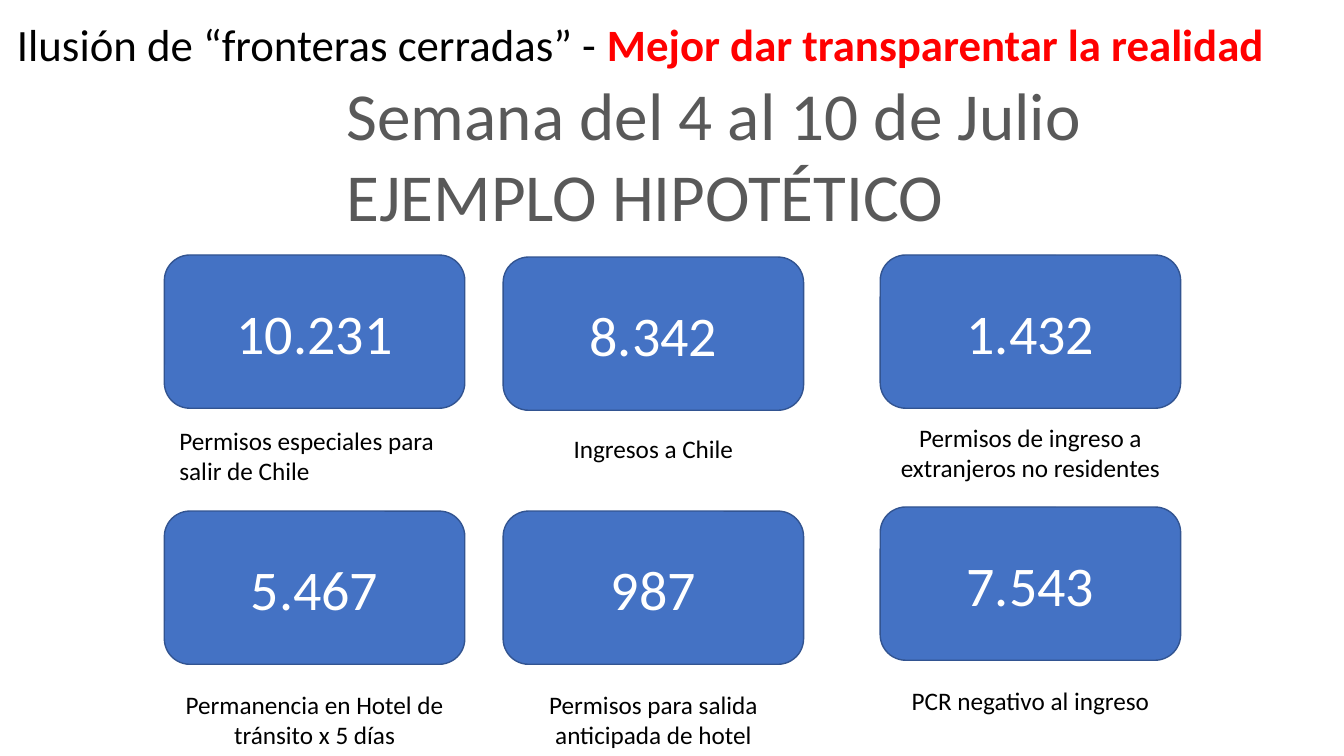
from dataclasses import dataclass

from pptx import Presentation
from pptx.dml.color import RGBColor as Color
from pptx.enum.shapes import MSO_SHAPE as Form
from pptx.enum.text import MSO_ANCHOR as Anchor, MSO_AUTO_SIZE as Fit, PP_ALIGN as Align
from pptx.shapes.autoshape import Shape
from pptx.slide import Slide
from pptx.text.text import _Paragraph as Para
from pptx.util import Inches, Pt

FONT = "Calibri"
WIDTH, HEIGHT = 2.98, 1.52
LEFT, MID, RIGHT = 1.63, 4.99, 8.73


@dataclass
class Card:
    left: float
    top: float
    value: str
    label: str
    below: float
    lines: int = 2
    shift: float = 0
    align: Align = Align.CENTER


CARDS = [
    Card(LEFT, 2.53, "10.231", "Permisos especiales para salir de Chile", 4.17,
         shift=0.05, align=Align.LEFT),
    Card(MID, 2.55, "8.342", "Ingresos a Chile", 4.25, lines=1),
    Card(RIGHT, 2.53, "1.432", "Permisos de ingreso a extranjeros no residentes", 4.14),
    Card(LEFT, 5.07, "5.467", "Permanencia en Hotel de tránsito x 5 días", 6.79),
    Card(MID, 5.07, "987", "Permisos para salida anticipada de hotel", 6.79),
    Card(RIGHT, 5.03, "7.543", "PCR negativo al ingreso", 6.75, lines=1),
]


def paint(code: str) -> Color:
    return Color.from_string(code)


def add_run(para: Para, text: str, size: float, color: str, bold: bool = False) -> None:
    run = para.add_run()
    run.text = text
    font = run.font
    font.name, font.size, font.bold = FONT, Pt(size), bold
    font.color.rgb = paint(color)


def add_box(slide: Slide, left: float, top: float, width: float, height: float,
            wrap: bool = True) -> Shape:
    box = slide.shapes.add_textbox(Inches(left), Inches(top), Inches(width), Inches(height))
    box.text_frame.word_wrap = wrap
    return box


def add_title(slide: Slide) -> None:
    frame = add_box(slide, 0.07, -0.01, 13.47, 1.45).text_frame
    frame.vertical_anchor = Anchor.MIDDLE
    frame.margin_bottom = Inches(0.54)
    para = frame.paragraphs[0]
    para.line_spacing = 0.9
    add_run(para, "Ilusión de “fronteras cerradas” - ", 32, "000000")
    add_run(para, "Mejor dar transparentar la realidad", 32, "FF0000", True)


def add_head(slide: Slide) -> None:
    frame = add_box(slide, 3.34, 0.68, 7.56, 1.72, False).text_frame
    frame.auto_size = Fit.SHAPE_TO_FIT_TEXT
    para = frame.paragraphs[0]
    add_run(para, "Semana del 4 al 10 de Julio", 48, "595959")
    para.add_line_break()
    add_run(para, "EJEMPLO HIPOTÉTICO", 48, "595959")


def add_card(slide: Slide, card: Card) -> None:
    tile = slide.shapes.add_shape(Form.ROUNDED_RECTANGLE, Inches(card.left), Inches(card.top),
                                  Inches(WIDTH), Inches(HEIGHT))
    tile.shadow.inherit = False
    tile.fill.solid()
    tile.fill.fore_color.rgb = paint("4472C4")
    tile.line.color.rgb = paint("325491")
    tile.line.width = Pt(1)
    tile.text_frame.vertical_anchor = Anchor.MIDDLE
    para = tile.text_frame.paragraphs[0]
    para.alignment = Align.CENTER
    add_run(para, card.value, 40, "FFFFFF")

    high = 0.1 + 0.3 * card.lines
    frame = add_box(slide, card.left + card.shift, card.below, WIDTH, high).text_frame
    frame.auto_size = Fit.SHAPE_TO_FIT_TEXT
    para = frame.paragraphs[0]
    para.alignment = card.align
    add_run(para, card.label, 18, "000000")


def main() -> None:
    deck = Presentation()
    deck.slide_width, deck.slide_height = Inches(13.33), Inches(7.5)
    slide = deck.slides.add_slide(deck.slide_layouts[6])
    add_title(slide)
    add_head(slide)
    for card in CARDS:
        add_card(slide, card)
    deck.save("out.pptx")


if __name__ == "__main__":
    main()
